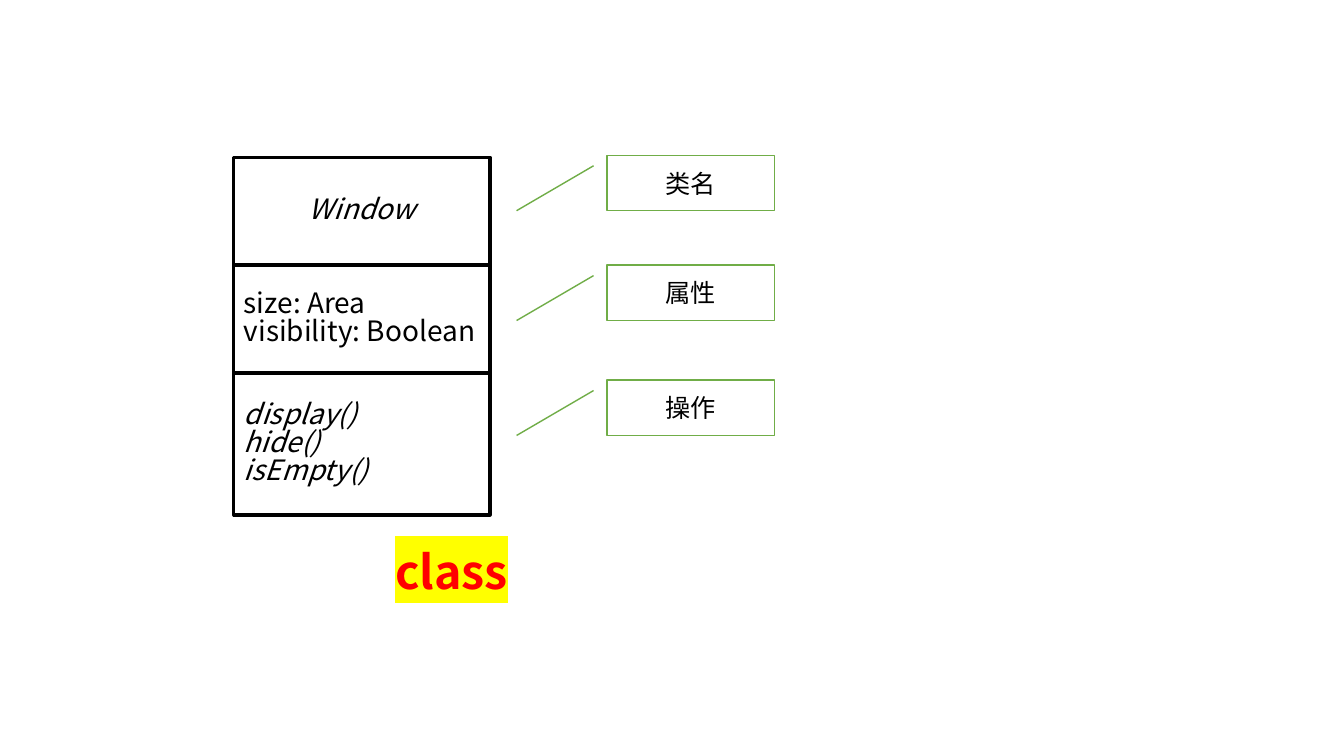
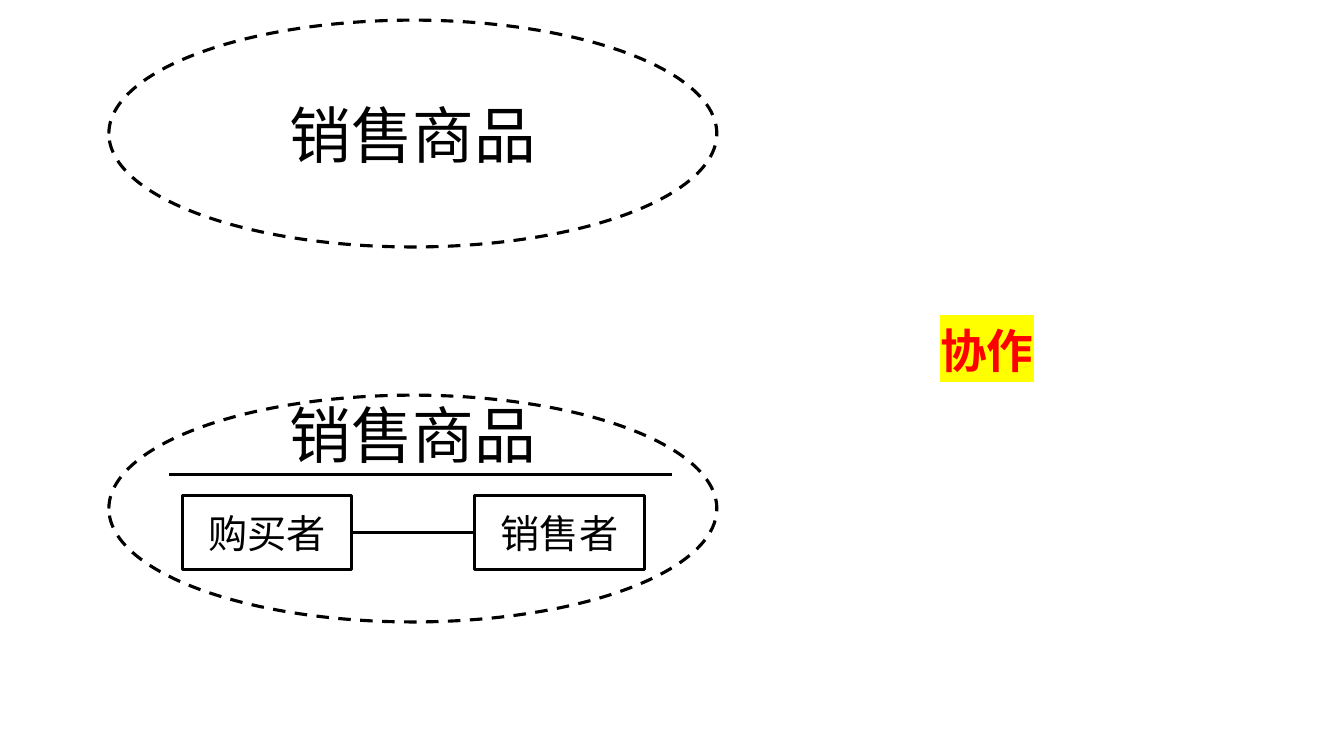
from dataclasses import dataclass

from lxml import etree
from pptx import Presentation
from pptx.dml.color import RGBColor
from pptx.enum.dml import MSO_LINE
from pptx.enum.shapes import MSO_CONNECTOR, MSO_SHAPE
from pptx.enum.text import MSO_ANCHOR, PP_ALIGN
from pptx.oxml.ns import qn
from pptx.util import Pt

EMU_PER_PX = 9144
RECTANGLE = MSO_SHAPE.RECTANGLE
ELLIPSE = MSO_SHAPE.OVAL
CALLOUT = MSO_SHAPE.LINE_CALLOUT_1
STRAIGHT = MSO_CONNECTOR.STRAIGHT
DASH = MSO_LINE.DASH
MIDDLE, BOTTOM = MSO_ANCHOR.MIDDLE, MSO_ANCHOR.BOTTOM
LEFT, CENTER = PP_ALIGN.LEFT, PP_ALIGN.CENTER


@dataclass(frozen=True)
class Theme:
    """Colours, type sizes and line widths shared by the slides."""

    font: str = "Noto Sans CJK SC"
    ink: str = "000000"
    paper: str = "FFFFFF"
    accent: str = "70AD47"
    label: str = "FF0000"
    highlight: str = "FFFF00"
    callout_size: float = 18
    member_size: float = 20
    role_size: float = 28
    label_size: float = 33.3
    name_size: float = 44
    outline: float = 2.25
    thin: float = 1
    member_spacing: float = 0.84
    label_spacing: float = 0.8


THEME = Theme()


def px(length):
    """Turn px into EMU."""
    return round(length * EMU_PER_PX)


def rgb(color):
    """Turn a hex string into a colour."""
    return RGBColor.from_string(color)


def write(shape, lines, size, color=THEME.ink, align=CENTER, anchor=MIDDLE,
          bold=False, italic=False, spacing=None):
    """Write one paragraph per line into a shape."""
    frame = shape.text_frame
    frame.word_wrap = True
    frame.vertical_anchor = anchor
    frame.text = "\n".join(lines)
    for paragraph in frame.paragraphs:
        paragraph.alignment = align
        if spacing:
            paragraph.line_spacing = spacing
        font = paragraph.font
        font.size, font.bold, font.italic = Pt(size), bold, italic
        font.color.rgb = rgb(color)
        font.name = THEME.font
        properties = paragraph._p.pPr.find(qn("a:defRPr"))
        etree.SubElement(properties, qn("a:ea"), typeface=THEME.font)


def add_shape(slide, kind, box, fill=None, line=THEME.ink, width=THEME.outline):
    """Add an outlined shape, unfilled unless a fill is given."""
    shape = slide.shapes.add_shape(kind, *map(px, box))
    shape.shadow.inherit = False
    if fill:
        shape.fill.solid()
        shape.fill.fore_color.rgb = rgb(fill)
    else:
        shape.fill.background()
    shape.line.color.rgb = rgb(line)
    shape.line.width = Pt(width)
    return shape


def add_text_box(slide, box):
    """Add a text box without margins."""
    shape = slide.shapes.add_textbox(*map(px, box))
    frame = shape.text_frame
    frame.margin_left = frame.margin_right = 0
    frame.margin_top = frame.margin_bottom = 0
    return shape


def add_rule(slide, left, right, y):
    """Add a horizontal line."""
    line = slide.shapes.add_connector(STRAIGHT, *map(px, (left, y, right, y)))
    line.line.color.rgb = rgb(THEME.ink)
    line.line.width = Pt(THEME.outline)
    etree.SubElement(line._element.spPr, qn("a:effectLst"))


def add_label(slide, left, top, text):
    """Add the highlighted label that names the diagram."""
    shape = add_text_box(slide, (left, top, 306, 54))
    write(shape, [text], THEME.label_size, THEME.label, anchor=BOTTOM,
          bold=True, spacing=THEME.label_spacing)
    run = shape.text_frame.paragraphs[0].runs[0]
    highlight = etree.SubElement(run._r.get_or_add_rPr(), qn("a:highlight"))
    etree.SubElement(highlight, qn("a:srgbClr"), val=THEME.highlight)


def add_class(slide, left, top, width, compartments):
    """Stack the compartments of a class box."""
    for height, lines, align, italic in compartments:
        shape = add_shape(slide, RECTANGLE, (left, top, width, height))
        write(shape, lines, THEME.member_size, align=align, italic=italic,
              spacing=THEME.member_spacing)
        top += height


def add_callouts(slide, left, top, notes):
    """Add the callouts that explain the compartments."""
    for offset, text in notes:
        shape = add_shape(slide, CALLOUT, (left, top + offset, 166, 55),
                          THEME.paper, THEME.accent, THEME.thin)
        for index, value in enumerate((0.19, -0.08, 1, -0.54)):
            shape.adjustments[index] = value
        write(shape, [text], THEME.callout_size)


def add_collaboration(slide, left, top, name, roles=()):
    """Add a dashed ellipse with its name and any roles below a rule."""
    width, height = 603, 225
    ellipse = add_shape(slide, ELLIPSE, (left, top, width, height), THEME.paper)
    ellipse.line.dash_style = DASH
    if not roles:
        write(ellipse, [name], THEME.name_size)
        return
    title = add_text_box(slide, (left + 88, top - 7, width - 176, 90))
    write(title, [name], THEME.name_size)
    add_rule(slide, left + 60, left + 559, top + 79)
    role_width, role_height, gap = 168, 73, 122
    role_left, role_top = left + 73, top + 100
    for index, role in enumerate(roles):
        x = role_left + index * (role_width + gap)
        shape = add_shape(slide, RECTANGLE,
                          (x, role_top, role_width, role_height), THEME.paper)
        write(shape, [role], THEME.role_size)
        if index:
            add_rule(slide, x - gap, x, role_top + role_height / 2)


def build_class_slide(slide):
    """Build the class notation slide."""
    add_class(slide, 232, 156, 254, (
        (107, ["Window"], CENTER, True),
        (107, ["size: Area", "visibility: Boolean"], LEFT, False),
        (141, ["display()", "hide()", "isEmpty()"], LEFT, True),
    ))
    add_callouts(slide, 602, 154, ((0, "类名"), (109, "属性"), (223, "操作")))
    add_label(slide, 295, 540, "class")


def build_collaboration_slide(slide):
    """Build the collaboration notation slide."""
    name = "销售商品"
    add_collaboration(slide, 108, 20, name)
    add_collaboration(slide, 108, 392, name, ("购买者", "销售者"))
    add_label(slide, 826, 321, "协作")


def main():
    """Build and save the presentation."""
    presentation = Presentation()
    presentation.slide_width, presentation.slide_height = px(1333), px(750)
    blank = presentation.slide_layouts[6]
    for build in (build_class_slide, build_collaboration_slide):
        build(presentation.slides.add_slide(blank))
    presentation.save("out.pptx")


if __name__ == "__main__":
    main()
